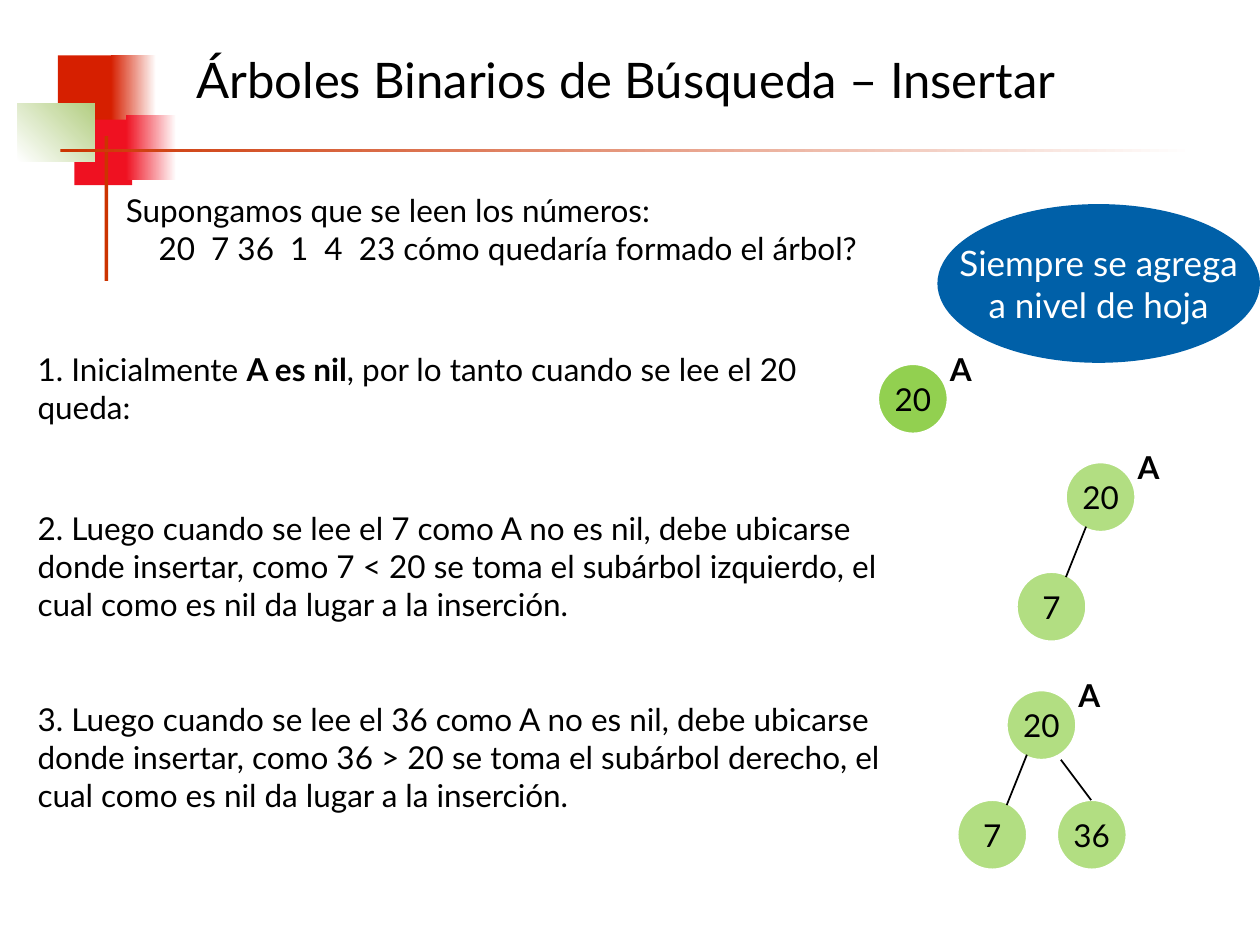
from lxml.etree import SubElement
from pptx import Presentation
from pptx.dml.color import RGBColor
from pptx.enum.shapes import MSO_CONNECTOR, MSO_SHAPE
from pptx.enum.text import MSO_ANCHOR, PP_ALIGN
from pptx.oxml.ns import qn
from pptx.util import Inches, Pt

COLS, ROWS = 100, 75
WIDE, HIGH = Inches(10), Inches(7.5)
BODY = dict(size=Pt(18), name="Lato", bold=False)
BOLD = BODY | dict(bold=True)
NOTE = BODY | dict(size=Pt(20))
HEAD = BODY | dict(size=Pt(28))
NODE = 5.5
LIME, PALE = "92D050", "B2DE82"


def paint(text):
    return RGBColor.from_string(text)


def cells(x, y):
    """Turn grid columns and rows into slide lengths."""
    return round(x * WIDE / COLS), round(y * HIGH / ROWS)


class Deck:
    def __init__(self):
        self.show = Presentation()
        self.show.slide_width, self.show.slide_height = WIDE, HIGH
        self.slide = self.show.slides.add_slide(self.show.slide_layouts[5])

    def label(self, frame, paras, style, ink="000000", align=PP_ALIGN.LEFT,
              anchor=MSO_ANCHOR.TOP, wrap=True):
        """Fill a frame; each paragraph is a list of (text, style) or a string."""
        frame.word_wrap, frame.vertical_anchor = wrap, anchor
        for i, runs in enumerate(paras):
            para = frame.add_paragraph() if i else frame.paragraphs[0]
            para.alignment = align
            for text, form in [(runs, style)] if isinstance(runs, str) else runs:
                run = para.add_run()
                run.text = text
                for key, value in form.items():
                    setattr(run.font, key, value)
                run.font.color.rgb = paint(ink)

    def title(self, box, text):
        head = self.slide.shapes.title
        head.left, head.top = cells(*box[:2])
        head.width, head.height = cells(*box[2:])
        self.label(head.text_frame, [text], HEAD, anchor=MSO_ANCHOR.MIDDLE)

    def text(self, box, paras, style=BODY, **rest):
        item = self.slide.shapes.add_textbox(*cells(*box[:2]), *cells(*box[2:]))
        self.label(item.text_frame, paras, style, **rest)
        return item.text_frame

    def shape(self, kind, box, fill, edge=None):
        item = self.slide.shapes.add_shape(kind, *cells(*box[:2]), *cells(*box[2:]))
        item.shadow.inherit = False
        item.fill.solid()
        item.fill.fore_color.rgb = paint(fill)
        if edge:
            item.line.color.rgb, item.line.width = paint(edge), Pt(1)
        else:
            item.line.fill.background()
        return item

    def fade(self, box, start, end="FFFFFF", angle=0):
        """Draw a rectangle whose colour runs from start to end."""
        fill = self.shape(MSO_SHAPE.RECTANGLE, box, start).fill
        fill.gradient()
        fill.gradient_angle = angle
        for stop, tone in zip(fill.gradient_stops, (start, end)):
            stop.color.rgb = paint(tone)

    def oval(self, box, paras, fill, style=BODY, ink="000000", edge=None):
        item = self.shape(MSO_SHAPE.OVAL, box, fill, edge)
        self.label(item.text_frame, paras, style, ink, PP_ALIGN.CENTER,
                   MSO_ANCHOR.MIDDLE, False)

    def line(self, start, end):
        item = self.slide.shapes.add_connector(
            MSO_CONNECTOR.STRAIGHT, *cells(*start), *cells(*end))
        item.line.color.rgb, item.line.width = paint("000000"), Pt(1)
        SubElement(item._element.spPr, qn("a:effectLst"))

    def node(self, x, y, key, fill):
        self.oval((x, y, NODE, NODE), [key], fill, edge="FFFFFF")

    def tree(self, x, y, left=None, right=None, fill=PALE):
        """Draw a root 20 marked A, with its children where given."""
        self.node(x, y, "20", fill)
        self.text((x + 4.7, y - 1.6, 3.9, 4), ["A"], BOLD)
        if left:
            self.node(x - 3.9, y + 8.7, left, fill)
            self.line((x + 1.6, y + 5.1), (x, y + 9.1))
        if right:
            self.node(x + 4, y + 8.7, right, fill)
            self.line((x + 4.3, y + 5.5), (x + 6.7, y + 8.7))


def main():
    deck = Deck()
    red, rose, rust = "D61F00", "EF1121", "CC3300"
    block = MSO_SHAPE.RECTANGLE
    deck.shape(block, (4.6, 4.4, 4.8, 5.2), red)
    deck.fade((8.8, 4.4, 3.6, 5.2), red)
    deck.shape(block, (5.9, 9.5, 4.6, 5.2), rose)
    deck.fade((10, 9.1, 4, 5.2), rose)
    deck.fade((1.4, 8.2, 6.1, 4.6), "FFFFFF", "B3CE82", 45)
    deck.shape(block, (8.3, 10.8, 0.3, 11.5), rust)
    deck.fade((4.8, 11.8, 90, 0.3), rust)

    deck.title((14.6, 1.3, 81.1, 10), "Árboles Binarios de Búsqueda – Insertar")
    intro = deck.text((9, 14.7, 85.9, 7), [
        "Supongamos que se leen los números:",
        "20  7 36  1  4  23 cómo quedaría formado el árbol?"],
        align=PP_ALIGN.JUSTIFY)
    intro.paragraphs[1]._p.get_or_add_pPr().set("marL", str(Inches(0.26)))

    steps = [
        (27.3, 7, [("1. Inicialmente ", BODY), ("A es nil", BOLD),
                   (", por lo tanto cuando se lee el 20 queda:", BODY)]),
        (39.9, 13, "2. Luego cuando se lee el 7 como A no es nil, debe ubicarse "
                   "donde insertar, como 7 < 20 se toma el subárbol izquierdo, "
                   "el cual como es nil da lugar a la inserción."),
        (55.1, 13, "3. Luego cuando se lee el 36 como A no es nil, debe ubicarse "
                   "donde insertar, como 36 > 20 se toma el subárbol derecho, "
                   "el cual como es nil da lugar a la inserción."),
    ]
    for top, tall, runs in steps:
        deck.text((2, top, 69.3, tall), [runs])

    deck.tree(69.7, 28.9, fill=LIME)
    deck.tree(84.6, 36.7, "7")
    deck.tree(79.9, 54.8, "7", "36")
    deck.oval((74.4, 16.2, 25.6, 12.6), ["Siempre se agrega", "a nivel de hoja"],
              "0060A8", NOTE, "FFFFFF")
    deck.show.save("out.pptx")


if __name__ == "__main__":
    main()
